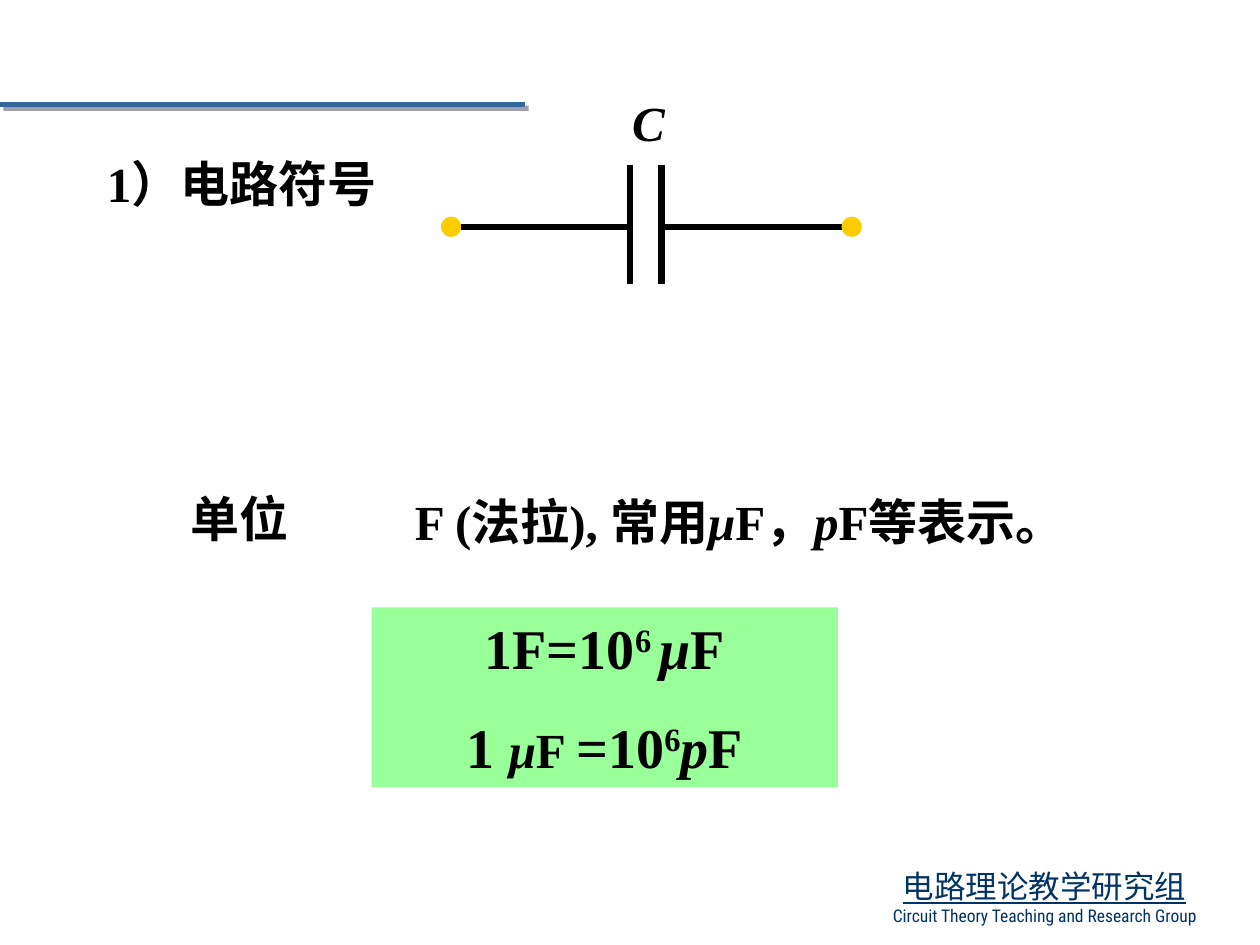
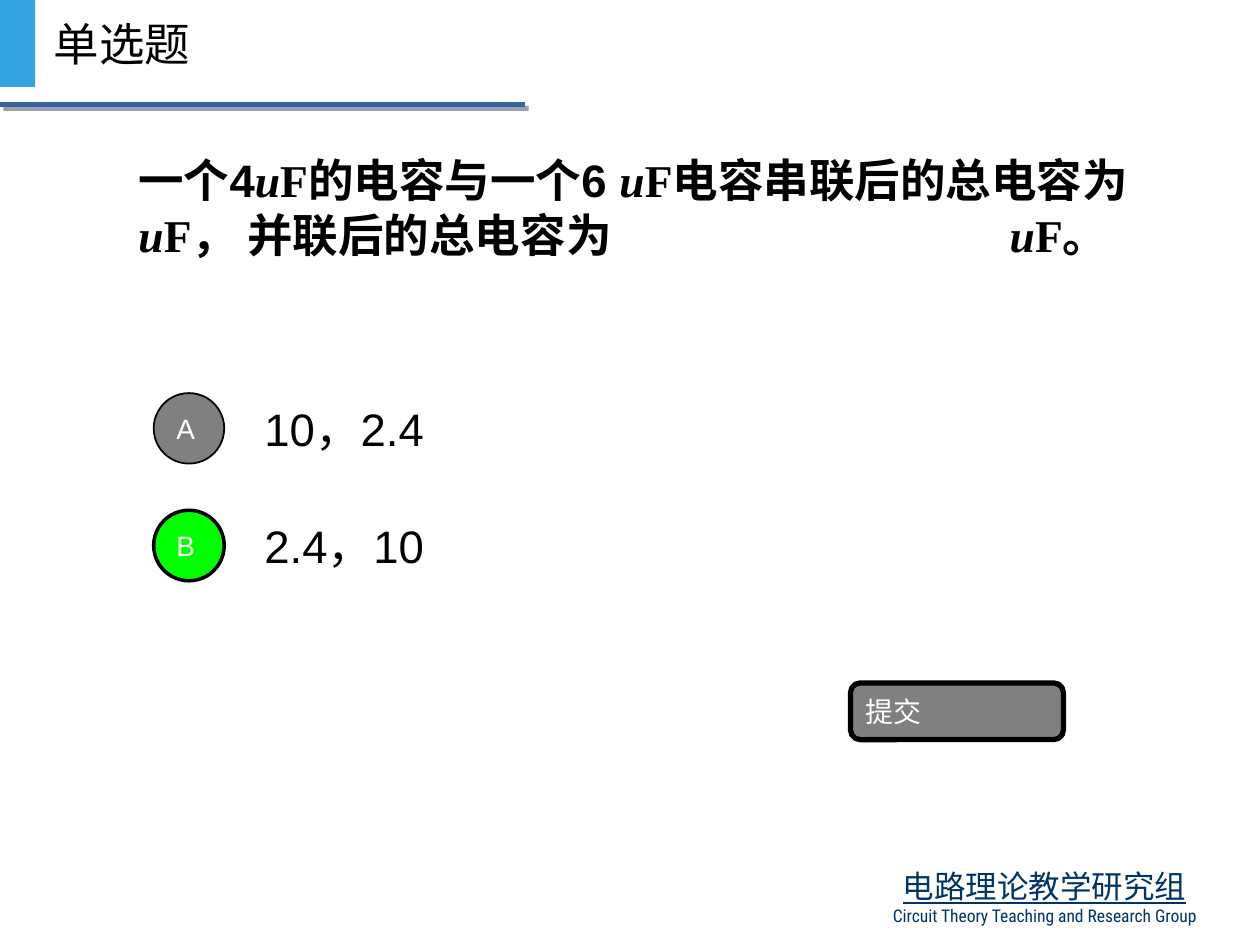
import pptx
import pptx.util
import pptx.dml.color
import pptx.enum.shapes
import pptx.enum.text
import pptx.oxml.ns
import lxml.etree

RGBColor = pptx.dml.color.RGBColor
BLACK = RGBColor(0, 0, 0)
WHITE = RGBColor(255, 255, 255)
NAVY = RGBColor(0, 51, 102)
STEEL = RGBColor(51, 102, 153)
SKY = RGBColor(54, 163, 225)
GOLD = RGBColor(255, 204, 0)
MINT = RGBColor(153, 255, 153)
GRAY = RGBColor(128, 128, 128)
GREEN = RGBColor(0, 255, 0)

SERIF = "Times New Roman"
SANS = "Arial"
HAN = "Noto Sans CJK SC"
NARROW = "Roboto Condensed"

Pt = pptx.util.Pt
SHAPE = pptx.enum.shapes.MSO_SHAPE
MID = pptx.enum.text.MSO_ANCHOR.MIDDLE
TOP = pptx.enum.text.MSO_ANCHOR.TOP
LEFT = pptx.enum.text.PP_ALIGN.LEFT
MAIN = pptx.enum.text.PP_ALIGN.CENTER
qn = pptx.oxml.ns.qn

deck = pptx.Presentation()
deck.slide_width = pptx.util.Inches(10)
deck.slide_height = pptx.util.Inches(7.5)
COL = deck.slide_width / 40
ROW = deck.slide_height / 30


def grid(*cells):
    return [round(n * (ROW if i % 2 else COL)) for i, n in enumerate(cells)]


def write(text, host, size=28, face=SERIF, color=BLACK, bold=False,
          align=LEFT, anchor=MID, gap=0, inset=0.4, tabs=()):
    frame = host.text_frame
    frame.word_wrap = True
    frame.vertical_anchor = anchor
    frame.margin_left = round(inset * COL)
    for i, runs in enumerate(text):
        para = frame.add_paragraph() if i else frame.paragraphs[0]
        para.alignment = align
        if i and gap:
            para.space_before = Pt(gap)
        if tabs:
            stops = lxml.etree.SubElement(para._p.get_or_add_pPr(), qn("a:tabLst"))
            for stop in tabs:
                lxml.etree.SubElement(stops, qn("a:tab"), pos=str(round(stop * COL)), algn="l")
        for words, style in runs:
            run = para.add_run()
            run.text = words
            font = run.font
            font.size = Pt(style.get("size", size))
            font.name = style.get("face", face)
            font.bold = bold
            font.italic = style.get("italic", False)
            font.underline = style.get("line", False)
            font.color.rgb = color
            props = run._r.get_or_add_rPr()
            lxml.etree.SubElement(props, qn("a:ea"), typeface=HAN)
            if "raise" in style:
                props.set("baseline", str(style["raise"] * 1000))


PLAIN = {}
SLANT = {"italic": True}
POWER = {"raise": 30}
BLANK = {"line": True}

# Shared parts
slides = []
for n in range(2):
    slide = deck.slides.add_slide(deck.slide_layouts[6])
    slides.append(slide)
    foot = slide.shapes.add_textbox(*grid(27, 27.32, 12.32, 2.28))
    write([[("电路理论教学研究组", BLANK)],
           [("Circuit Theory Teaching and Research Group", {"size": 10, "face": NARROW})]],
          foot, size=18, face=HAN, color=NAVY, align=MAIN, anchor=TOP)
    rule = slide.shapes.add_connector(
        pptx.enum.shapes.MSO_CONNECTOR.STRAIGHT, *grid(0, 3.33, 16.67, 3.33))
    rule.line.color.rgb = STEEL
    rule.line.width = Pt(3)
    glow = lxml.etree.SubElement(rule._element.spPr, qn("a:effectLst"))
    shade = lxml.etree.SubElement(glow, qn("a:outerShdw"), dist=str(Pt(2.8)),
                                  dir="2700000", algn="ctr", rotWithShape="0")
    tint = lxml.etree.SubElement(shade, qn("a:srgbClr"), val="3E3E5C")
    lxml.etree.SubElement(tint, qn("a:alpha"), val="50000")

unit, quiz = [slide.shapes for slide in slides]

head = unit.add_textbox(*grid(3, 4.67, 10.67, 2.28))
write([[("1）电路符号", PLAIN)]], head, bold=True)
name = unit.add_textbox(*grid(19.57, 2.72, 2.03, 2.28))
write([[("C", SLANT)]], name, bold=True, align=MAIN)

for ends, width in [((20, 7.2, 14.64, 7.2), 3.5), ((21, 7.2, 26.72, 7.2), 3.5),
                    ((20, 5.24, 20, 9), 4), ((21, 5.24, 21, 9), 4)]:
    wire = unit.add_connector(pptx.enum.shapes.MSO_CONNECTOR.STRAIGHT, *grid(*ends))
    wire.line.color.rgb = BLACK
    wire.line.width = Pt(width)
    lxml.etree.SubElement(wire._element.spPr, qn("a:effectLst"))

for left in (14, 26.72):
    dot = unit.add_shape(SHAPE.OVAL, *grid(left, 6.88, 0.64, 0.64))
    dot.shadow.inherit = False
    dot.fill.solid()
    dot.fill.fore_color.rgb = GOLD
    dot.line.fill.background()

note = unit.add_textbox(*grid(10.88, 15.4, 25.2, 2.28))
write([[("F (法拉), 常用", PLAIN), ("μ", SLANT), ("F，", PLAIN),
        ("p", SLANT), ("F等表示。", PLAIN)]], note, bold=True, align=MAIN)
term = unit.add_textbox(*grid(4.32, 15.32, 6.6, 2.28))
write([[("单位", PLAIN)]], term, bold=True, anchor=TOP, inset=1.72)

card = unit.add_shape(SHAPE.RECTANGLE, *grid(11.8, 19.28, 14.8, 5.72))
card.shadow.inherit = False
card.fill.solid()
card.fill.fore_color.rgb = MINT
card.line.fill.background()
write([[("1F=10", PLAIN), ("6 ", POWER), ("μ", SLANT), ("F", PLAIN)],
       [("1 ", PLAIN), ("μ", {"italic": True, "size": 28}), ("F", {"size": 28}),
        (" ", {"size": 24}), ("=10", PLAIN), ("6", POWER), ("p", SLANT), ("F", PLAIN)]],
      card, size=32, bold=True, align=MAIN, anchor=TOP, gap=18)

ask = quiz.add_textbox(*grid(4, 1.88, 33, 9.36))
write([[("一个4", {"face": SANS}), ("u", SLANT), ("F", PLAIN),
        ("的电容与一个6 ", {"face": SANS}), ("u", SLANT),
        ("F电容串联后的总电容为", PLAIN), ("\t", BLANK), ("u", SLANT),
        ("F， 并联后的总电容为", PLAIN), ("\t", PLAIN), ("\t", BLANK),
        ("u", SLANT), ("F。", PLAIN)]],
      ask, size=26, bold=True, tabs=(7.7, 24.08, 27.66))

for i, (mark, words, fill, width) in enumerate(
        [("A", "10，2.4", GRAY, 1), ("B", "2.4，10", GREEN, 2)]):
    top = 12.2 + 3.72 * i
    pick = quiz.add_textbox(*grid(8, top, 28, 2.8))
    write([[(words, PLAIN)]], pick, size=26, face=SANS)
    disc = quiz.add_shape(SHAPE.OVAL, *grid(4.88, top + 0.28, 2.24, 2.24))
    disc.shadow.inherit = False
    disc.fill.solid()
    disc.fill.fore_color.rgb = fill
    disc.line.color.rgb = BLACK
    disc.line.width = Pt(width)
    write([[(mark, PLAIN)]], disc, size=16, face=SANS, color=WHITE)

send = quiz.add_shape(SHAPE.ROUNDED_RECTANGLE, *grid(27, 21.68, 6.76, 1.8))
send.adjustments[0] = 0.17
send.shadow.inherit = False
send.fill.solid()
send.fill.fore_color.rgb = GRAY
send.line.color.rgb = BLACK
send.line.width = Pt(3)
write([[("提交", PLAIN)]], send, size=16, face=SANS, color=WHITE)

band = quiz.add_shape(SHAPE.RECTANGLE, *grid(0, 0, 1.12, 2.76))
band.shadow.inherit = False
band.fill.solid()
band.fill.fore_color.rgb = SKY
band.line.fill.background()
title = quiz.add_textbox(*grid(1.32, 0, 5.56, 2.76))
write([[("单选题", PLAIN)]], title, size=26, face=SANS)

deck.save("out.pptx")
